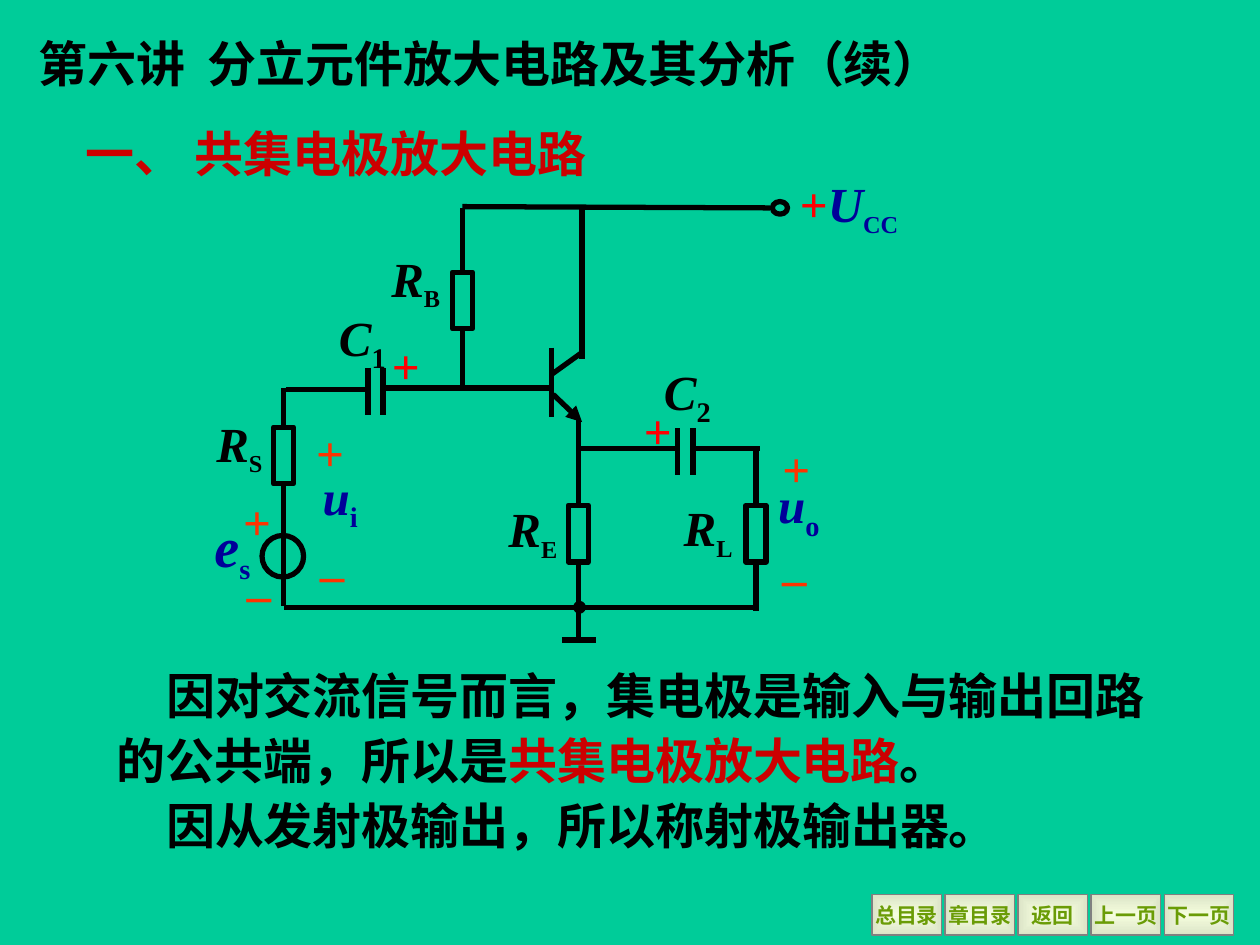
from dataclasses import dataclass

from lxml.etree import SubElement
from pptx import Presentation
from pptx.dml.color import RGBColor
from pptx.enum.shapes import MSO_CONNECTOR, MSO_SHAPE
from pptx.enum.text import MSO_ANCHOR, MSO_AUTO_SIZE, PP_ALIGN
from pptx.oxml.ns import qn
from pptx.util import Inches, Pt


@dataclass(frozen=True)
class Theme:
    page: str = "00CC99"
    ink: str = "000000"
    accent: str = "CC0000"
    signal: str = "000099"
    plus: str = "FF0000"
    polarity: str = "FF3300"
    button_text: str = "6A9C06"
    button_edge: str = "808080"
    button_light: str = "F5FEDE"
    button_dark: str = "DCE4C7"
    latin: str = "Times New Roman"
    chinese: str = "Noto Sans CJK SC"
    body_size: int = 28
    small_size: int = 24
    source_size: int = 32
    button_size: int = 12
    wire_width: float = 3
    edge_width: float = 0.75


def assign(target, values):
    for name, value in values.items():
        setattr(target, name, value)


class CircuitSlide:
    def __init__(self, deck, theme):
        self.theme = theme
        self.page = deck.slides.add_slide(deck.slide_layouts[5])
        self.shapes = self.page.shapes
        fill = self.page.background.fill
        fill.solid()
        fill.fore_color.rgb = RGBColor.from_string(theme.page)

    def span(self, para, text, color, size=None, latin=None, italic=False, lowered=False):
        span = para.add_run()
        span.text = text
        assign(span.font, {"name": latin or self.theme.latin, "bold": True, "italic": italic,
                           "size": Pt(size or self.theme.body_size)})
        span.font.color.rgb = RGBColor.from_string(color)
        properties = span.font._element
        SubElement(properties, qn("a:ea")).set("typeface", self.theme.chinese)
        if lowered:
            properties.set("baseline", "-25000")

    def text_box(self, left, top, width, height, **frame_format):
        box = self.shapes.add_textbox(Inches(left), Inches(top), Inches(width), Inches(height))
        assign(box.text_frame, {"word_wrap": True, "auto_size": MSO_AUTO_SIZE.SHAPE_TO_FIT_TEXT,
                                **frame_format})
        return box.text_frame

    def title(self, text, left, top, width, height):
        box = self.shapes.title
        assign(box, {"left": Inches(left), "top": Inches(top),
                     "width": Inches(width), "height": Inches(height)})
        assign(box.text_frame, {"vertical_anchor": MSO_ANCHOR.MIDDLE, "word_wrap": True,
                                "auto_size": MSO_AUTO_SIZE.NONE})
        para = box.text_frame.paragraphs[0]
        para.alignment = PP_ALIGN.LEFT
        self.span(para, text, self.theme.accent, latin=self.theme.chinese)

    def heading(self, text, left, top, width, height):
        frame = self.text_box(left, top, width, height)
        self.span(frame.paragraphs[0], text, self.theme.ink, latin=self.theme.chinese)

    def body(self, paragraphs, left, top, width, height):
        frame = self.text_box(left, top, width, height)
        for index, parts in enumerate(paragraphs):
            para = frame.add_paragraph() if index else frame.paragraphs[0]
            para.line_spacing = 1.1
            para._p.get_or_add_pPr().set("indent", str(Inches(0.39)))
            for text, color in parts:
                self.span(para, text, color)

    def label(self, left, top, width, parts, height=0.57, align=PP_ALIGN.CENTER):
        frame = self.text_box(left, top, width, height, word_wrap=False,
                              vertical_anchor=MSO_ANCHOR.MIDDLE)
        para = frame.paragraphs[0]
        para.alignment = align
        for part in parts:
            self.span(para, **part)

    def symbol(self, left, top, width, letter, index, color, index_size=None, size=None, height=0.57):
        self.label(left, top, width, [
            {"text": letter, "color": color, "size": size, "italic": True},
            {"text": index, "color": color, "size": index_size, "lowered": True},
        ], height)

    def outline(self, kind, left, top, width, height):
        shape = self.shapes.add_shape(kind, Inches(left), Inches(top), Inches(width), Inches(height))
        shape.shadow.inherit = False
        shape.fill.background()
        shape.line.color.rgb = RGBColor.from_string(self.theme.ink)
        shape.line.width = Pt(self.theme.wire_width)
        return shape

    def resistor(self, center, top):
        return self.outline(MSO_SHAPE.RECTANGLE, center - 0.08, top, 0.16, 0.45)

    def wire(self, x1, y1, x2, y2, begin=None, end=None, arrow=False):
        line = self.shapes.add_connector(MSO_CONNECTOR.STRAIGHT, Inches(x1), Inches(y1),
                                         Inches(x2), Inches(y2))
        if begin:
            line.begin_connect(*begin)
        if end:
            line.end_connect(*end)
        line.line.color.rgb = RGBColor.from_string(self.theme.ink)
        line.line.width = Pt(self.theme.wire_width)
        if arrow:
            SubElement(line.line._get_or_add_ln(), qn("a:tailEnd")).set("type", "triangle")
        SubElement(line._element.spPr, qn("a:effectLst"))

    def button(self, text, left, top):
        theme = self.theme
        shape = self.shapes.add_shape(MSO_SHAPE.ACTION_BUTTON_CUSTOM, Inches(left), Inches(top),
                                      Inches(0.55), Inches(0.32))
        shape.shadow.inherit = False
        shape.fill.gradient()
        for stop, color in zip(shape.fill.gradient_stops, (theme.button_light, theme.button_dark)):
            stop.color.rgb = RGBColor.from_string(color)
        gradient = shape._element.spPr.find(qn("a:gradFill"))
        gradient.remove(gradient.find(qn("a:lin")))
        shade = SubElement(gradient, qn("a:path"))
        shade.set("path", "shape")
        focus = SubElement(shade, qn("a:fillToRect"))
        for side in "ltrb":
            focus.set(side, "50000")
        shape.line.color.rgb = RGBColor.from_string(theme.button_edge)
        shape.line.width = Pt(theme.edge_width)
        assign(shape.text_frame, {"word_wrap": False, "vertical_anchor": MSO_ANCHOR.MIDDLE})
        para = shape.text_frame.paragraphs[0]
        para.alignment = PP_ALIGN.CENTER
        self.span(para, text, theme.button_text, theme.button_size)


def main():
    deck = Presentation()
    assign(deck, {"slide_width": Inches(10), "slide_height": Inches(7.5)})
    theme = Theme()
    slide = CircuitSlide(deck, theme)

    for index, text in enumerate(("总目录", "章目录", "返回", "上一页", "下一页")):
        slide.button(text, 6.92 + 0.58 * index, 7.1)
    slide.title("一、 共集电极放大电路", 0.58, 0.88, 5.16, 0.67)
    slide.heading("第六讲  分立元件放大电路及其分析（续）", 0.21, 0.22, 8.05, 0.57)
    slide.body([
        [("因对交流信号而言，集电极是输入与输出回路的公共端，所以是", theme.ink),
         ("共集电极放大电路", theme.accent), ("。", theme.ink)],
        [("因从发射极输出，所以称射极输出器。", theme.ink)],
    ], 0.83, 5.19, 8.58, 1.64)

    source_x, base_x, emitter_x, load_x = 2.25, 3.67, 4.59, 6
    base_resistor = slide.resistor(base_x, 2.16)
    source_resistor = slide.resistor(source_x, 3.39)
    emitter_resistor = slide.resistor(emitter_x, 4.01)
    load_resistor = slide.resistor(load_x, 4.01)
    for resistor, x, upper, lower in (
        (base_resistor, base_x, 1.65, 3.09),
        (source_resistor, source_x, 3.08, 4.81),
        (emitter_resistor, emitter_x, 3.33, 4.81),
        (load_resistor, load_x, 3.58, 4.85),
    ):
        slide.wire(x, upper, x, 2.16, end=(resistor, 0))
        slide.wire(x, 2.61, x, lower, begin=(resistor, 2))

    for x, top in ((2.92, 2.92), (3.04, 2.92), (5.38, 3.4), (5.5, 3.4)):
        slide.wire(x, top, x, top + 0.37)
    for points in (
        (base_x, 1.64, 6.11, 1.65), (4.62, 1.66, 4.62, 2.85),
        (4.38, 2.76, 4.38, 3.31), (4.38, 2.97, 4.63, 2.79),
        (2.27, 3.09, 2.94, 3.09), (3.03, 3.08, 4.39, 3.08),
        (emitter_x, 3.56, 5.38, 3.56), (5.5, 3.56, 6.03, 3.56),
        (source_x, 4.82, 6.01, 4.82), (emitter_x, 4.82, emitter_x, 5.08),
        (4.46, 5.08, 4.73, 5.08),
    ):
        slide.wire(*points)
    slide.wire(4.39, 3.13, 4.62, 3.35, arrow=True)
    for bounds in ((6.13, 1.6, 0.12, 0.1), (4.57, 4.79, 0.06, 0.06), (2.08, 4.25, 0.33, 0.33)):
        slide.outline(MSO_SHAPE.OVAL, *bounds)

    for left, top, index in ((3, 1.94, "B"), (3.93, 3.93, "E"), (5.32, 3.92, "L"), (1.6, 3.25, "S")):
        slide.symbol(left, top, 0.6, "R", index, theme.ink, theme.small_size)
    for left, top, index in ((2.58, 2.42, "1"), (5.16, 2.85, "2")):
        slide.symbol(left, top, 0.59, "C", index, theme.ink)
    for left, top, index in ((2.2, 3.68, "i"), (5.84, 3.75, "o")):
        slide.symbol(left, top, 1, "u", index, theme.signal)
    slide.symbol(1.33, 4.04, 1.03, "e", "s", theme.signal, size=theme.source_size, height=0.63)
    slide.label(6.25, 1.35, 1.02, [
        {"text": "+", "color": theme.plus},
        {"text": "U", "color": theme.signal, "italic": True},
        {"text": "CC", "color": theme.signal, "size": theme.small_size, "lowered": True},
    ], align=PP_ALIGN.LEFT)

    for left, top, sign, color in (
        (2.41, 3.3, "+", theme.polarity), (2.44, 4.26, "–", theme.polarity),
        (6.11, 3.43, "+", theme.polarity), (6.11, 4.29, "–", theme.polarity),
        (1.83, 3.85, "+", theme.polarity), (1.86, 4.42, "–", theme.polarity),
        (5.01, 3.13, "+", theme.plus), (3.01, 2.61, "+", theme.plus),
    ):
        slide.label(left, top, 0.42 if sign == "+" else 0.39, [{"text": sign, "color": color}])

    deck.save("out.pptx")


if __name__ == "__main__":
    main()
